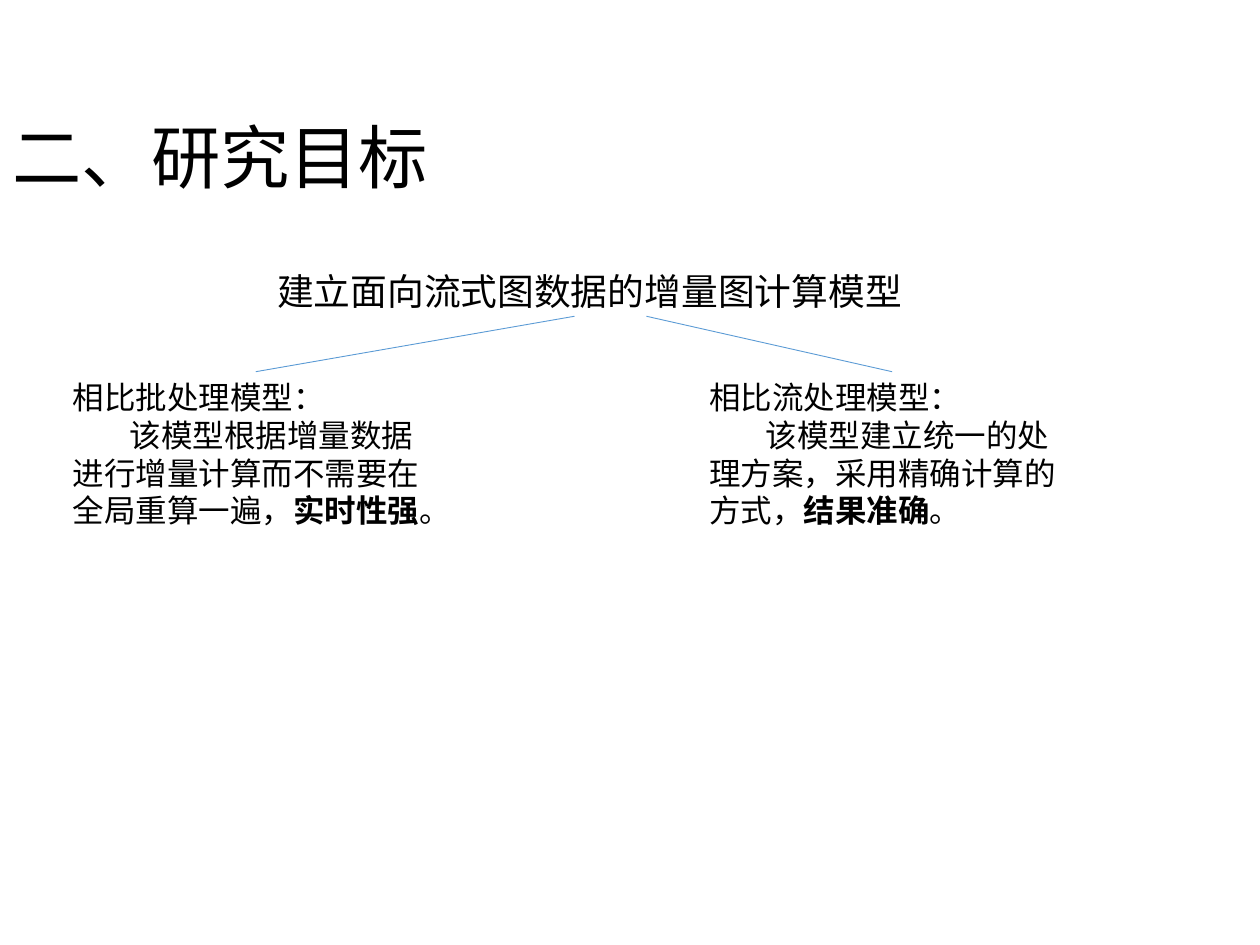
from pptx import Presentation
from pptx import util as u
from pptx.dml.color import RGBColor
from pptx.enum import shapes, text
from lxml import etree

W, H = 10, 7.5
FONT, INK, BLUE = "Calibri", "000000", "5B9BD5"
A = "{http://schemas.openxmlformats.org/drawingml/2006/main}"

# Comparison columns: left edge, then heading, body and emphasised result
COL_LEFT, COL_STEP, COL_TOP, COL_W, COL_H = 0.48, 5.05, 2.95, 3.09, 1.31
COMPARISONS = [
    ("相比批处理模型：", "该模型根据增量数据进行增量计算而不需要在全局重算一遍，", "实时性强"),
    ("相比流处理模型：", "该模型建立统一的处理方案，采用精确计算的方式，", "结果准确"),
]
# Start and end x of the branch that leads to each column
BRANCHES = [(4.56, 2.03), (5.13, 7.08)]


def color(hex_str):
    return RGBColor.from_string(hex_str)


def add_run(p, content, size, bold=False):
    r = p.add_run()
    r.text = content
    r.font.name, r.font.size, r.font.bold = FONT, u.Pt(size), bold
    r.font.color.rgb = color(INK)


def add_text(slide, box, paragraphs, size, anchor=text.MSO_ANCHOR.TOP):
    """Each paragraph is (first-line indent in inches, [(text, bold), ...])."""
    tf = slide.shapes.add_textbox(*map(u.Inches, box)).text_frame
    tf.word_wrap = True
    tf.vertical_anchor = anchor
    for i, (indent, runs) in enumerate(paragraphs):
        p = tf.add_paragraph() if i else tf.paragraphs[0]
        if indent:
            p._p.get_or_add_pPr().set("indent", str(u.Inches(indent)))
        for content, bold in runs:
            add_run(p, content, size, bold)
    return tf


def add_line(slide, x1, y1, x2, y2):
    ln = slide.shapes.add_connector(
        shapes.MSO_CONNECTOR.STRAIGHT, *map(u.Inches, (x1, y1, x2, y2)))
    ln.line.color.rgb = color(BLUE)
    ln.line.width = u.Pt(0.5)
    etree.SubElement(ln._element.spPr, A + "effectLst")


def main():
    prs = Presentation()
    prs.slide_width, prs.slide_height = u.Inches(W), u.Inches(H)
    slide = prs.slides.add_slide(prs.slide_layouts[6])

    # Title
    tf = add_text(slide, (0, 0.92, 8.62, 0.71), [(0, [("二、研究目标", False)])],
                  39.6, text.MSO_ANCHOR.MIDDLE)
    tf.paragraphs[0].line_spacing = 0.9

    # Goal
    add_text(slide, (2.1, 2.08, 5.89, 0.45),
             [(0, [("建立面向流式图数据的增量图计算模型", False)])], 21)

    # Comparisons
    for i, (heading, body, result) in enumerate(COMPARISONS):
        add_text(slide, (COL_LEFT + i * COL_STEP, COL_TOP, COL_W, COL_H),
                 [(0, [(heading, False)]),
                  (0.45, [(body, False), (result, True), ("。", False)])], 18)

    # Branches from the goal to the comparisons
    for x1, x2 in BRANCHES:
        add_line(slide, x1, 2.51, x2, COL_TOP)

    prs.save("out.pptx")


main()
